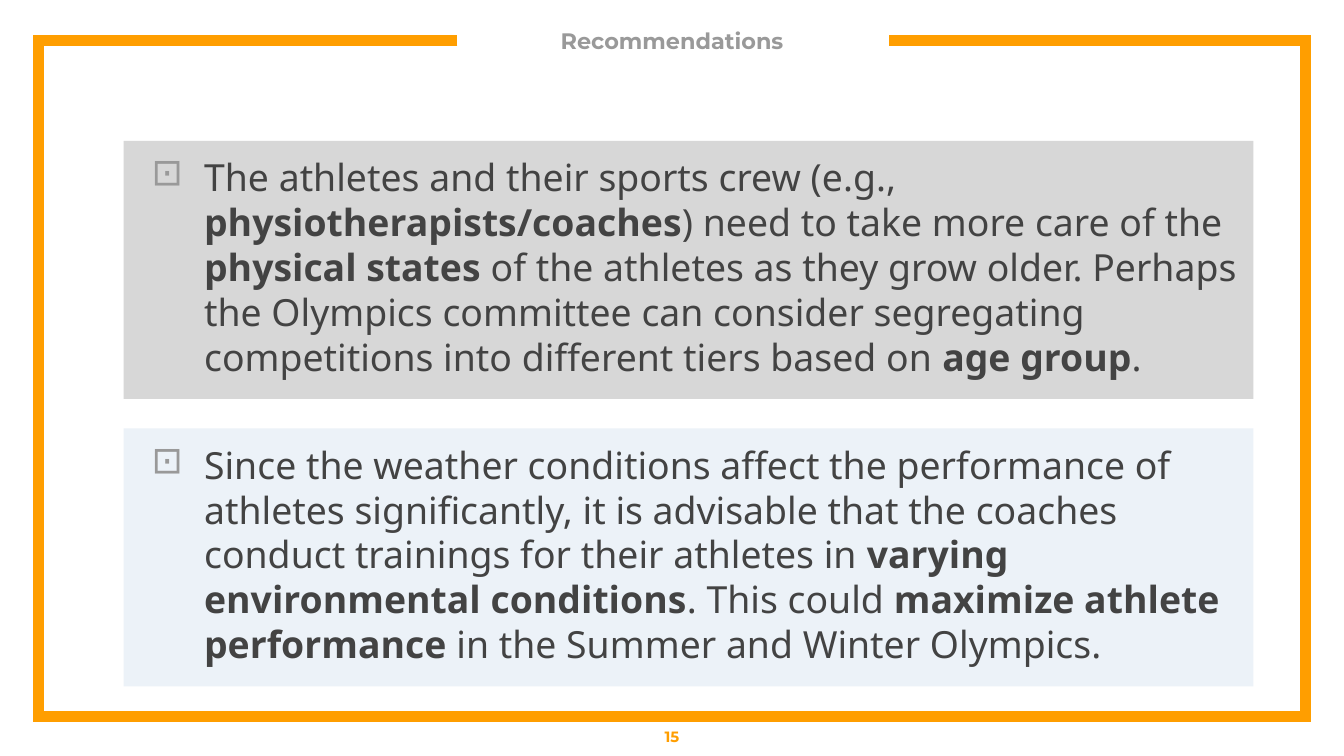
import dataclasses

import lxml.etree
import pptx
import pptx.dml.color
import pptx.enum.shapes
import pptx.enum.text
import pptx.oxml.ns
import pptx.util

SLIDE_WIDTH = pptx.util.Inches(10)
SLIDE_HEIGHT = SLIDE_WIDTH * 9 // 16
ORANGE, GREY, DARK = "FF9E00", "999999", "434343"


@dataclasses.dataclass(frozen=True)
class Box:
    """A rectangle in percent of the slide's width and height."""
    left: float
    top: float
    width: float
    height: float

    def lengths(self) -> tuple[int, int, int, int]:
        return (across(self.left), down(self.top),
                across(self.width), down(self.height))


@dataclasses.dataclass(frozen=True)
class Panel:
    """A filled box; every second piece of its text is bold."""
    top: float
    fill: str
    pieces: tuple[str, ...]


@dataclasses.dataclass(frozen=True)
class Label:
    text: str
    box: Box
    size: int
    color: str


PANELS = (
    Panel(18.65, "D7D7D7", (
        "The athletes and their sports crew (e.g., ",
        "physiotherapists/coaches",
        ") need to take more care of the ",
        "physical states ",
        "of the athletes as they grow older. Perhaps the Olympics committee can "
        "consider segregating competitions into different tiers based on ",
        "age group",
        ".",
    )),
    Panel(56.68, "ECF2F8", (
        "Since the weather conditions affect the performance of athletes "
        "significantly, it is advisable that the coaches conduct trainings "
        "for their athletes in ",
        "varying environmental conditions",
        ". This could ",
        "maximize athlete performance ",
        "in the Summer and Winter Olympics.",
    )),
)
LABELS = (
    Label("Recommendations", Box(35.46, 1.96, 29.1, 6.93), 12, GREY),
    Label("15", Box(0, 94.73, 100, 5.33), 8, ORANGE),
)
FRAME_POINTS = ((34.03, 5.33), (2.84, 5.33), (2.84, 94.73),
                (97.16, 94.73), (97.16, 5.33), (66.13, 5.33))


def across(percent: float) -> int:
    return round(SLIDE_WIDTH * percent / 100)


def down(percent: float) -> int:
    return round(SLIDE_HEIGHT * percent / 100)


def rgb(color: str) -> pptx.dml.color.RGBColor:
    return pptx.dml.color.RGBColor.from_string(color)


def set_attributes(target, values: dict) -> None:
    for name, value in values.items():
        setattr(target, name, value)


def add_run(paragraph, text: str, name: str, size: int, color: str, bold: bool) -> None:
    run = paragraph.add_run()
    run.text = text
    set_attributes(run.font, {"name": name, "size": pptx.util.Pt(size), "bold": bold})
    run.font.color.rgb = rgb(color)


def set_bullet(paragraph, character: str, color: str) -> None:
    properties = paragraph._p.get_or_add_pPr()
    properties.set("marL", str(pptx.util.Inches(0.5)))
    properties.set("indent", str(pptx.util.Inches(-0.39)))
    qualify = pptx.oxml.ns.qn
    bullet_color = lxml.etree.SubElement(properties, qualify("a:buClr"))
    lxml.etree.SubElement(bullet_color, qualify("a:srgbClr"), val=color)
    lxml.etree.SubElement(properties, qualify("a:buChar"), char=character)


def add_frame(slide) -> None:
    points = [(across(x), down(y)) for x, y in FRAME_POINTS]
    builder = slide.shapes.build_freeform(*points[0])
    builder.add_line_segments(points[1:], close=False)
    frame = builder.convert_to_shape()
    frame.shadow.inherit = False
    frame.fill.background()
    frame.line.color.rgb = rgb(ORANGE)
    frame.line.width = pptx.util.Pt(6)
    lxml.etree.SubElement(frame.line._get_or_add_ln(),
                          pptx.oxml.ns.qn("a:miter"), lim="800000")


def add_label(slide, label: Label) -> None:
    text_frame = slide.shapes.add_textbox(*label.box.lengths()).text_frame
    set_attributes(text_frame, {
        "word_wrap": True,
        "vertical_anchor": pptx.enum.text.MSO_ANCHOR.MIDDLE,
        "margin_top": 0,
        "margin_bottom": 0,
    })
    paragraph = text_frame.paragraphs[0]
    paragraph.alignment = pptx.enum.text.PP_ALIGN.CENTER
    add_run(paragraph, label.text, "Montserrat", label.size, label.color, True)


def add_panel(slide, panel: Panel) -> None:
    shape = slide.shapes.add_shape(
        pptx.enum.shapes.MSO_SHAPE.RECTANGLE,
        *Box(9.2, panel.top, 84.05, 34.13).lengths())
    shape.shadow.inherit = False
    shape.fill.solid()
    shape.fill.fore_color.rgb = rgb(panel.fill)
    shape.line.fill.background()
    margins = ("margin_left", "margin_right", "margin_top", "margin_bottom")
    set_attributes(shape.text_frame, {
        "word_wrap": True,
        "vertical_anchor": pptx.enum.text.MSO_ANCHOR.TOP,
        **dict.fromkeys(margins, pptx.util.Inches(0.1)),
    })
    paragraph = shape.text_frame.paragraphs[0]
    set_attributes(paragraph, {
        "alignment": pptx.enum.text.PP_ALIGN.LEFT,
        "line_spacing": pptx.util.Pt(24),
    })
    set_bullet(paragraph, "⊡", GREY)
    for index, piece in enumerate(panel.pieces):
        add_run(paragraph, piece, "Noto Sans", 20, DARK, index % 2 == 1)


def main() -> None:
    presentation = pptx.Presentation()
    set_attributes(presentation, {"slide_width": SLIDE_WIDTH, "slide_height": SLIDE_HEIGHT})
    slide = presentation.slides.add_slide(presentation.slide_layouts[6])
    add_frame(slide)
    for label in LABELS:
        add_label(slide, label)
    for panel in PANELS:
        add_panel(slide, panel)
    presentation.save("out.pptx")


if __name__ == "__main__":
    main()
